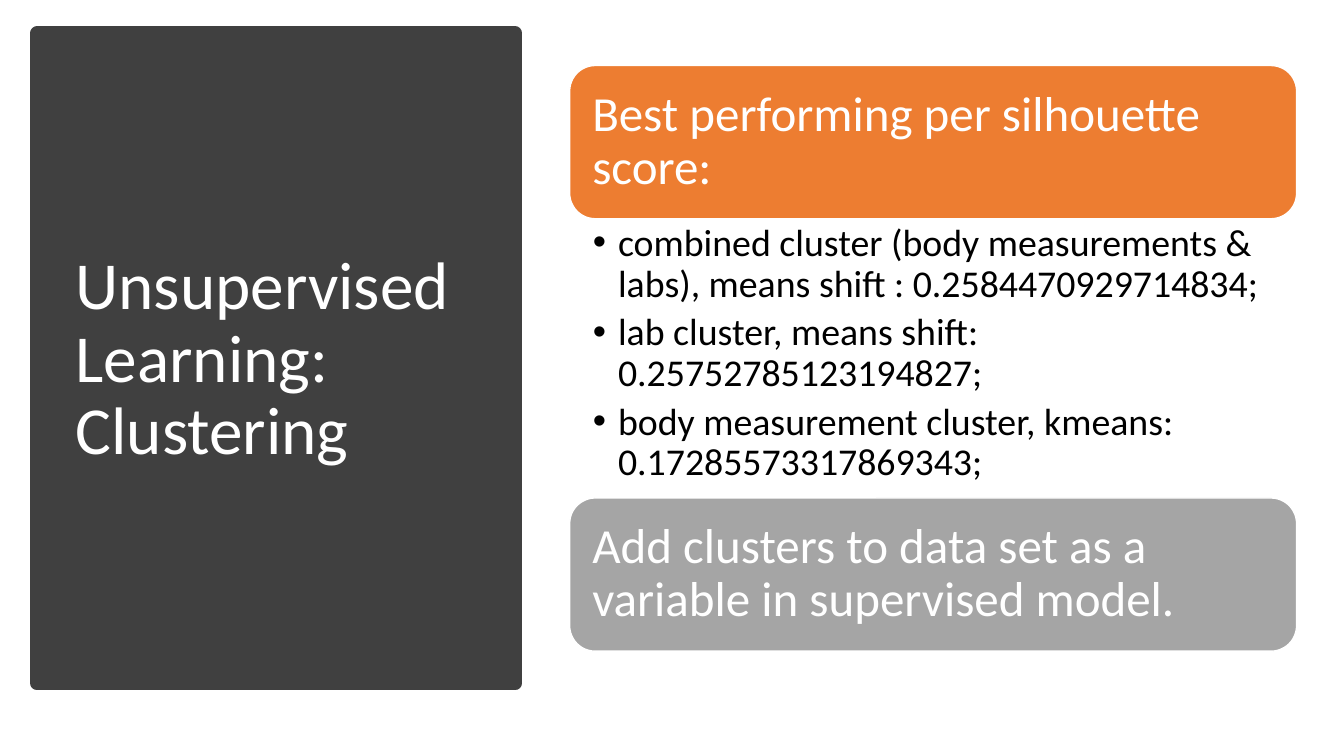
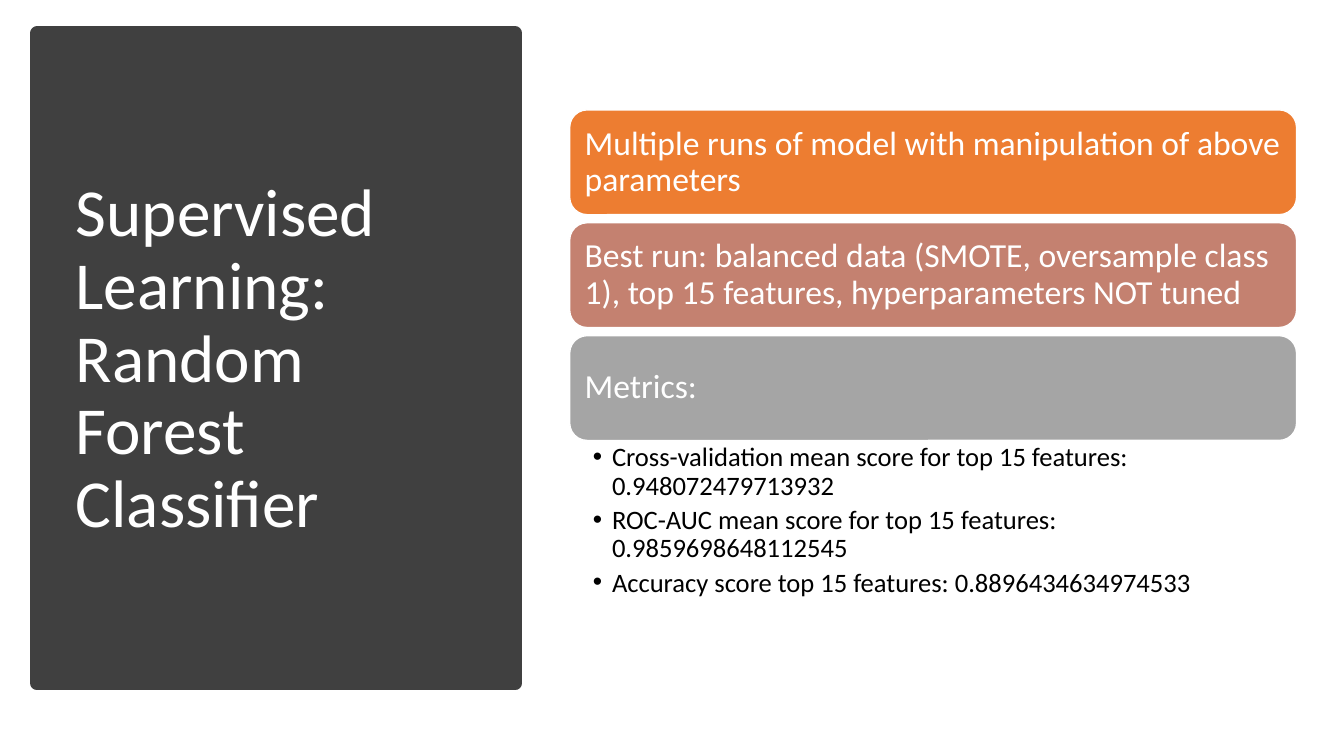
from dataclasses import dataclass

import lxml.etree
import pptx
import pptx.dml.color
import pptx.enum.shapes
import pptx.enum.text
import pptx.oxml.ns
import pptx.slide
import pptx.text.text
import pptx.util

Inches = pptx.util.Inches
Pt = pptx.util.Pt
RGB = pptx.dml.color.RGBColor
Shape = pptx.enum.shapes.MSO_SHAPE
Anchor = pptx.enum.text.MSO_ANCHOR
Align = pptx.enum.text.PP_ALIGN
qn = pptx.oxml.ns.qn


@dataclass(frozen=True)
class Theme:
    font: str = "Calibri"
    white: str = "FFFFFF"
    black: str = "000000"
    dark: str = "404040"
    orange: str = "ED7D31"
    rose: str = "C48170"
    gray: str = "A5A5A5"
    title: int = 48
    spacing: float = 0.9


@dataclass(frozen=True)
class Style:
    top: float
    card: float
    gap: float
    inset: float
    size: int
    small: int
    body: float
    indent: float
    right: float
    edge: float


@dataclass(frozen=True)
class Card:
    text: str
    fill: str


@dataclass(frozen=True)
class Points:
    items: tuple[str, ...]


@dataclass(frozen=True)
class Page:
    title: tuple[str, ...]
    style: Style
    blocks: tuple[Card | Points, ...]


THEME = Theme()
LEFT, WIDTH = 5.65, 7.21

PAGES = (
    Page(
        ("Unsupervised Learning: ", "Clustering"),
        Style(top=0.65, card=1.52, gap=0.08, inset=0.15, size=35, small=27,
              body=2.77, indent=0.25, right=0.27, edge=0.05),
        (
            Card("Best performing per silhouette score:", THEME.orange),
            Points((
                "combined cluster (body measurements & labs), "
                "means shift : 0.2584470929714834;",
                "lab cluster, means shift: 0.25752785123194827;",
                "body measurement cluster, kmeans: 0.17285573317869343;",
            )),
            Card("Add clusters to data set as a variable in supervised model.",
                 THEME.gray),
        ),
    ),
    Page(
        ("Supervised Learning:", "Random Forest Classifier"),
        Style(top=1.09, card=1.04, gap=0.08, inset=0.1, size=24, small=19,
              body=1.66, indent=0.19, right=0.19, edge=0.03),
        (
            Card("Multiple runs of model with manipulation of above parameters",
                 THEME.orange),
            Card("Best run: balanced data (SMOTE, oversample class 1), "
                 "top 15 features, hyperparameters NOT tuned", THEME.rose),
            Card("Metrics:", THEME.gray),
            Points((
                "Cross-validation mean score for top 15 features: 0.948072479713932",
                "ROC-AUC mean score for top 15 features: 0.9859698648112545",
                "Accuracy score top 15 features: 0.8896434634974533",
            )),
        ),
    ),
)


def setup(frame: pptx.text.text.TextFrame, anchor: Anchor,
          left: float, top: float, right: float, bottom: float) -> None:
    frame.word_wrap = True
    frame.auto_size = pptx.enum.text.MSO_AUTO_SIZE.NONE
    frame.vertical_anchor = anchor
    frame.margin_left, frame.margin_top = Inches(left), Inches(top)
    frame.margin_right, frame.margin_bottom = Inches(right), Inches(bottom)


def write(para, lines: tuple[str, ...], size: int, color: str) -> None:
    para.alignment = Align.LEFT
    para.line_spacing = THEME.spacing
    for index, line in enumerate(lines):
        if index:
            para.add_line_break()
        run = para.add_run()
        run.text = line
        run.font.name = THEME.font
        run.font.size = Pt(size)
        run.font.color.rgb = RGB.from_string(color)


def bullet(para, indent: float) -> None:
    props = para._p.get_or_add_pPr()
    props.set("marL", str(Inches(indent)))
    props.set("indent", str(-Inches(indent)))
    lxml.etree.SubElement(props, qn("a:buFont")).set("typeface", "Arial")
    lxml.etree.SubElement(props, qn("a:buChar")).set("char", "•")


def block(slide: pptx.slide.Slide, kind: Shape, left: float, top: float,
          width: float, height: float, fill: str, line: str, weight: int):
    shape = slide.shapes.add_shape(
        kind, Inches(left), Inches(top), Inches(width), Inches(height))
    shape.shadow.inherit = False
    shape.fill.solid()
    shape.fill.fore_color.rgb = RGB.from_string(fill)
    shape.line.color.rgb = RGB.from_string(line)
    shape.line.width = Pt(weight)
    return shape


def panel(slide: pptx.slide.Slide, lines: tuple[str, ...]) -> None:
    band = block(slide, Shape.RECTANGLE, 0.37, 0.33, 4.74, 6.45,
                 THEME.dark, THEME.dark, 10)
    title = slide.shapes.title
    title._element.addprevious(band._element)
    title.left, title.top = Inches(0.65), Inches(0.7)
    title.width, title.height = Inches(4.16), Inches(5.75)
    setup(title.text_frame, Anchor.MIDDLE, 0.1, 0.05, 0.1, 0.05)
    write(title.text_frame.paragraphs[0], lines, THEME.title, THEME.white)


def card(slide: pptx.slide.Slide, item: Card, style: Style, top: float) -> None:
    shape = block(slide, Shape.ROUNDED_RECTANGLE, LEFT, top, WIDTH, style.card,
                  item.fill, THEME.white, 1)
    setup(shape.text_frame, Anchor.MIDDLE, *[style.inset] * 4)
    write(shape.text_frame.paragraphs[0], (item.text,), style.size, THEME.white)


def points(slide: pptx.slide.Slide, item: Points, style: Style, top: float) -> None:
    box = slide.shapes.add_textbox(
        Inches(LEFT), Inches(top), Inches(WIDTH), Inches(style.body))
    frame = box.text_frame
    setup(frame, Anchor.TOP, 0.23, style.edge, style.right, style.edge)
    for index, text in enumerate(item.items):
        para = frame.add_paragraph() if index else frame.paragraphs[0]
        para.level = 1
        bullet(para, style.indent)
        para.space_after = Pt(round(style.small * 0.2, 1))
        write(para, (text,), style.small, THEME.black)


def stack(slide: pptx.slide.Slide, page: Page) -> None:
    style, top, last = page.style, page.style.top, None
    for item in page.blocks:
        if isinstance(item, Card):
            top += style.gap if isinstance(last, Card) else 0
            card(slide, item, style, top)
            top += style.card
        else:
            points(slide, item, style, top)
            top += style.body
        last = item


def main() -> None:
    deck = pptx.Presentation()
    deck.slide_width, deck.slide_height = Inches(13.33), Inches(7.5)
    for page in PAGES:
        slide = deck.slides.add_slide(deck.slide_layouts[5])
        panel(slide, page.title)
        stack(slide, page)
    deck.save("out.pptx")


if __name__ == "__main__":
    main()
